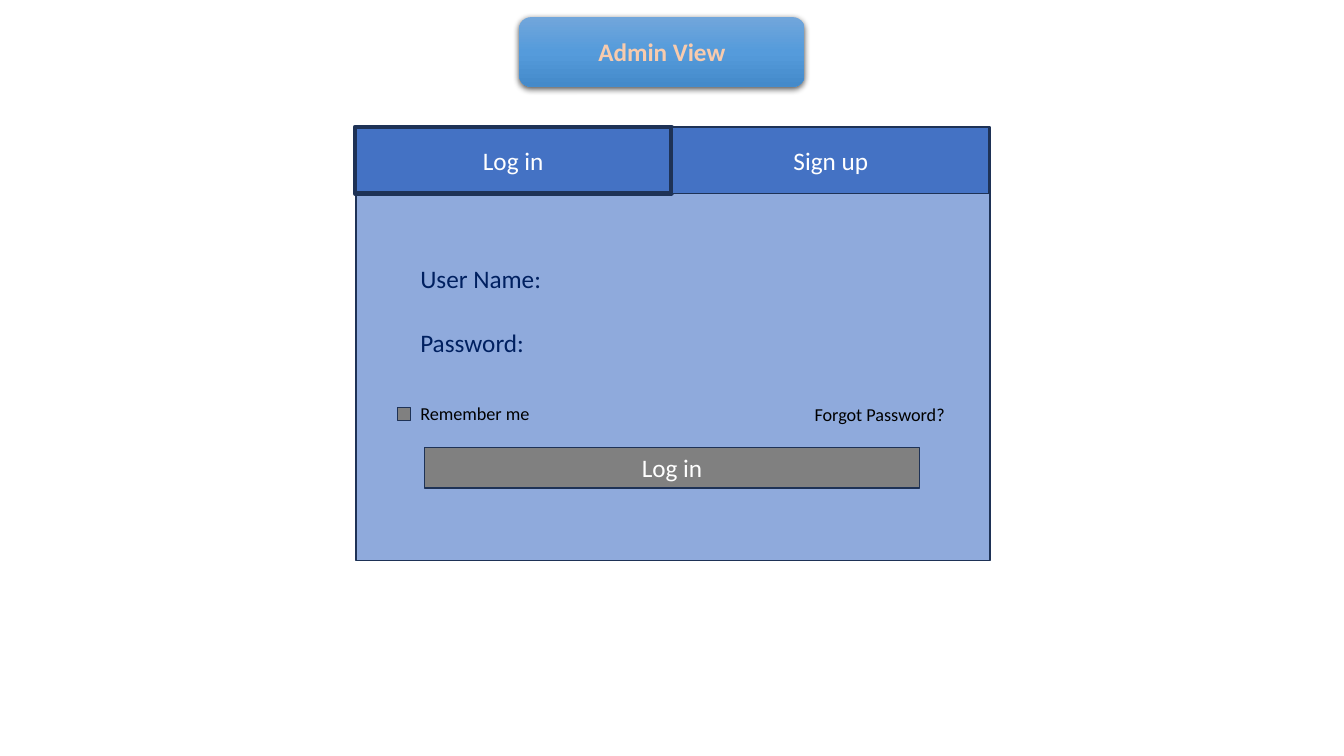
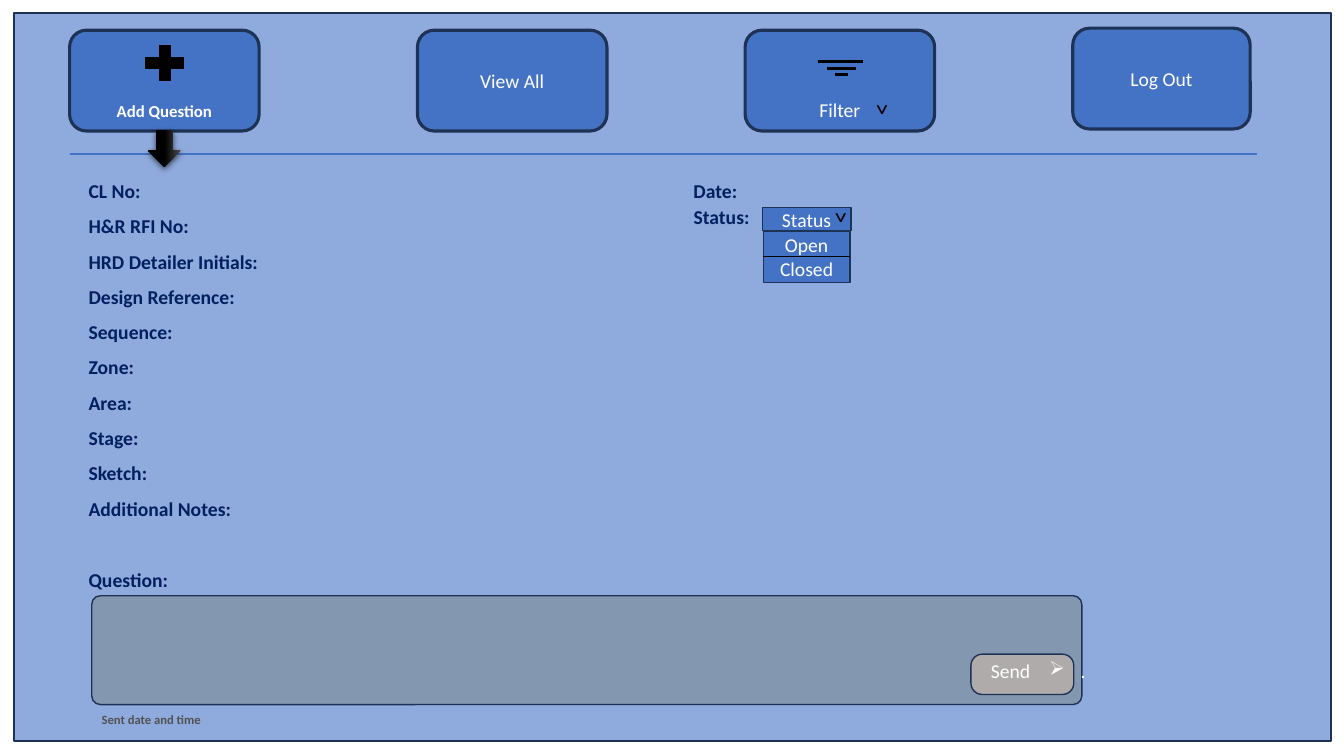
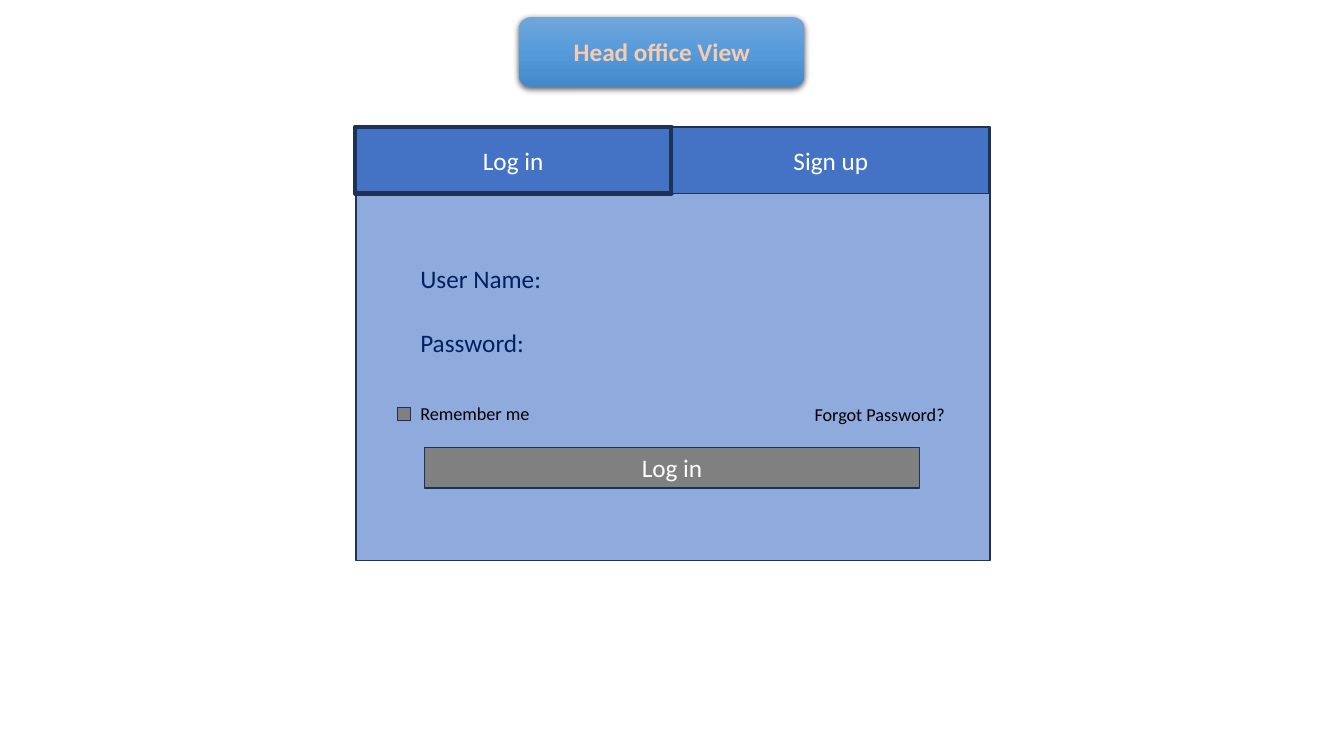
import dataclasses
import typing

import lxml.etree
import pptx
import pptx.dml.color
import pptx.enum.shapes
import pptx.enum.text
import pptx.oxml.ns
import pptx.util

Inches = pptx.util.Inches
Pt = pptx.util.Pt
Form = pptx.enum.shapes.MSO_SHAPE
Align = pptx.enum.text.PP_ALIGN
Anchor = pptx.enum.text.MSO_ANCHOR
qn = pptx.oxml.ns.qn

FONT = "Calibri"
WHITE, BLACK, NAVY = "FFFFFF", "000000", "002060"
PANEL, BLUE, EDGE, GREY = "8FAADC", "4472C4", "1E3256", "808080"
GLOSS = ("71A6DB", "559BDB", "448ACA")
INK = ("4B4B4B", BLACK, BLACK)


@dataclasses.dataclass(frozen=True)
class Area:
    left: float
    top: float
    width: float
    height: float

    def inches(self) -> tuple:
        return tuple(Inches(n) for n in dataclasses.astuple(self))


@dataclasses.dataclass(frozen=True)
class Button:
    area: Area
    text: str
    size: float = 18
    fill: str = BLUE
    line: float = 1
    form: typing.Any = Form.RECTANGLE
    bold: bool = False
    anchor: typing.Any = Anchor.MIDDLE


@dataclasses.dataclass(frozen=True)
class Label:
    area: Area
    text: str
    size: float = 18
    color: str = NAVY
    bold: bool = False
    turn: float = 0


def paint(code: str) -> pptx.dml.color.RGBColor:
    return pptx.dml.color.RGBColor.from_string(code)


def node(parent: typing.Any, tag: str, **marks: typing.Any) -> typing.Any:
    return lxml.etree.SubElement(
        parent, qn(tag), {key: str(val) for key, val in marks.items()})


def write(frame: typing.Any, text: str, *, size: float = 18,
          color: str = WHITE, bold: bool = False, align: typing.Any = Align.LEFT,
          anchor: typing.Any = Anchor.TOP, spacing: float = 1.0) -> None:
    frame.word_wrap = True
    frame.vertical_anchor = anchor
    for count, line in enumerate(text.split("\n")):
        para = frame.paragraphs[0] if count == 0 else frame.add_paragraph()
        para.alignment = align
        para.line_spacing = spacing
        run = para.add_run()
        run.text = line
        run.font.name = FONT
        run.font.size = Pt(size)
        run.font.bold = bold
        run.font.color.rgb = paint(color)


def box(slide: typing.Any, area: Area, fill: str, *, form: typing.Any = Form.RECTANGLE,
        edge: str = EDGE, line: float = 1, round: float | None = None) -> typing.Any:
    shape = slide.shapes.add_shape(form, *area.inches())
    shape.shadow.inherit = False
    shape.fill.solid()
    shape.fill.fore_color.rgb = paint(fill)
    shape.line.color.rgb = paint(edge)
    shape.line.width = Pt(line)
    if round is not None:
        shape.adjustments[0] = round
    return shape


def glossy(slide: typing.Any, area: Area, form: typing.Any,
           shades: tuple) -> typing.Any:
    shape = slide.shapes.add_shape(form, *area.inches())
    shape.line.fill.background()
    props = shape._element.spPr
    blend = node(props, "a:gradFill", rotWithShape=1)
    stops = node(blend, "a:gsLst")
    for place, shade in enumerate(shades):
        node(node(stops, "a:gs", pos=place * 50000), "a:srgbClr", val=shade)
    node(blend, "a:lin", ang=5400000, scaled=0)
    props.insert(2, blend)
    cast = node(node(props, "a:effectLst"), "a:outerShdw", blurRad=Pt(4.5),
                dist=Pt(1.5), dir=5400000, algn="ctr", rotWithShape=0)
    node(node(cast, "a:srgbClr", val=BLACK), "a:alpha", val=63000)
    return shape


def press(slide: typing.Any, item: Button) -> typing.Any:
    shape = box(slide, item.area, item.fill, form=item.form, line=item.line)
    write(shape.text_frame, item.text, size=item.size, bold=item.bold,
          align=Align.CENTER, anchor=item.anchor)
    return shape


def label(slide: typing.Any, item: Label, spacing: float = 1.0) -> typing.Any:
    shape = slide.shapes.add_textbox(*item.area.inches())
    shape.rotation = item.turn
    write(shape.text_frame, item.text, size=item.size, color=item.color,
          bold=item.bold, spacing=spacing)
    return shape


def rule(slide: typing.Any, left: float, right: float, top: float,
         color: str, width: float) -> typing.Any:
    line = slide.shapes.add_connector(
        pptx.enum.shapes.MSO_CONNECTOR.STRAIGHT,
        Inches(left), Inches(top), Inches(right), Inches(top))
    line.line.color.rgb = paint(color)
    line.line.width = Pt(width)
    node(line._element.spPr, "a:effectLst")
    return line


def login(slide: typing.Any, title: str) -> None:
    box(slide, Area(3.53, 1.26, 6.29, 4.3), PANEL)
    for item in (
        Button(Area(3.52, 1.26, 3.14, 0.66), "Log in", line=3),
        Button(Area(6.67, 1.26, 3.14, 0.66), "Sign up"),
        Button(Area(4.21, 4.44, 4.91, 0.4), "Log in", fill=GREY),
    ):
        press(slide, item)
    box(slide, Area(3.94, 4.04, 0.13, 0.13), GREY)
    for item in (
        Label(Area(4.07, 2.56, 5.18, 0.4), "User Name:"),
        Label(Area(4.07, 3.2, 5.18, 0.4), "Password:"),
        Label(Area(4.07, 3.94, 1.51, 0.32), "Remember me", 13, BLACK),
        Label(Area(7.98, 3.95, 1.51, 0.32), "Forgot Password?", 13, BLACK),
    ):
        label(slide, item)
    badge = glossy(slide, Area(5.15, 0.17, 2.83, 0.69), Form.ROUNDED_RECTANGLE, GLOSS)
    write(badge.text_frame, title, color="F8CBAD", bold=True,
          align=Align.CENTER, anchor=Anchor.MIDDLE)
    props = badge.text_frame.paragraphs[0].runs[0].font._element
    stroke = node(props, "a:ln", w=Pt(1.75))
    node(node(stroke, "a:solidFill"), "a:srgbClr", val="ED7D31")
    props.insert(0, stroke)


def header(slide: typing.Any) -> None:
    look = {"line": 2.25, "form": Form.ROUNDED_RECTANGLE}
    for item in (
        Button(Area(0.69, 0.3, 1.88, 1), "Add Question", 12, bold=True,
               anchor=Anchor.BOTTOM, **look),
        Button(Area(4.14, 0.3, 1.88, 1), "View All", 14, **look),
        Button(Area(7.39, 0.3, 1.88, 1), "Filter", 14, anchor=Anchor.BOTTOM, **look),
        Button(Area(10.64, 0.28, 1.76, 1), "Log Out", 14, **look),
    ):
        press(slide, item)
    box(slide, Area(1.38, 0.39, 0.51, 0.47), BLACK, form=Form.MATH_PLUS, edge=BLACK)
    label(slide, Label(Area(8.56, 0.87, 0.35, 0.4), "^", color=BLACK, turn=180))
    for left, right, top in ((8.11, 8.56, 0.61), (8.2, 8.49, 0.68), (8.28, 8.41, 0.74)):
        rule(slide, left, right, top, BLACK, 2.25)
    rule(slide, 0.69, 12.47, 1.53, BLUE, 1.5)
    arrow = glossy(slide, Area(1.45, 1.31, 0.36, 0.33), Form.RIGHT_ARROW, INK)
    arrow.rotation = 90


def fields(slide: typing.Any) -> None:
    names = ("CL No:\tDate:", "H&R RFI No:", "HRD Detailer Initials:",
             "Design Reference:", "Sequence:", "Zone:", "Area:", "Stage:",
             "Sketch:", "Additional Notes:", "Question:")
    form = label(slide, Label(Area(0.78, 1.61, 7.87, 4.31), "\n".join(names),
                              14, bold=True), spacing=1.5)
    paras = form.text_frame.paragraphs
    tabs = node(paras[0]._p.get_or_add_pPr(), "a:tabLst")
    node(tabs, "a:tab", pos=Inches(6), algn="l")
    paras[-1].space_before = Pt(25.6)


def status(slide: typing.Any) -> None:
    label(slide, Label(Area(6.78, 1.98, 1.72, 0.34), "Status:", 14, bold=True))
    menu = press(slide, Button(Area(7.57, 2.29, 0.86, 0.51), "Open\nClosed", 14))
    press(slide, Button(Area(7.56, 2.06, 0.88, 0.23), "Status", 14))
    split = rule(slide, 7.57, 8.43, 2.55, BLACK, 1)
    split.begin_connect(menu, 1)
    split.end_connect(menu, 3)
    label(slide, Label(Area(7.69, 1.94, 0.81, 0.4), "^", color=BLACK, turn=180))


def message(slide: typing.Any) -> None:
    box(slide, Area(0.91, 5.91, 9.82, 1.08), "8497B0",
        form=Form.ROUNDED_RECTANGLE, round=0.08)
    label(slide, Label(Area(0.91, 7.01, 2.95, 0.25), "Sent date and time",
                       9, "525252", True))
    box(slide, Area(9.63, 6.49, 1.02, 0.4), "AFABAB",
        form=Form.ROUNDED_RECTANGLE, round=0.28)
    label(slide, Label(Area(9.73, 6.49, 0.66, 0.34), "Send", 14, WHITE))
    mark = label(slide, Label(Area(10.31, 6.49, 0.53, 0.34), ".", 14, WHITE))
    props = mark.text_frame.paragraphs[0]._p.get_or_add_pPr()
    props.set("marL", str(Inches(0.31)))
    props.set("indent", str(-Inches(0.31)))
    node(props, "a:buChar", char="➢")


def question(slide: typing.Any) -> None:
    box(slide, Area(0.14, 0.13, 13.06, 7.22), PANEL)
    header(slide)
    message(slide)
    fields(slide)
    status(slide)


def main() -> None:
    deck = pptx.Presentation()
    deck.slide_width = Inches(13.33)
    deck.slide_height = Inches(7.5)
    blank = deck.slide_layouts[6]
    login(deck.slides.add_slide(blank), "Admin View")
    question(deck.slides.add_slide(blank))
    login(deck.slides.add_slide(blank), "Head office View")
    deck.save("out.pptx")


if __name__ == "__main__":
    main()
